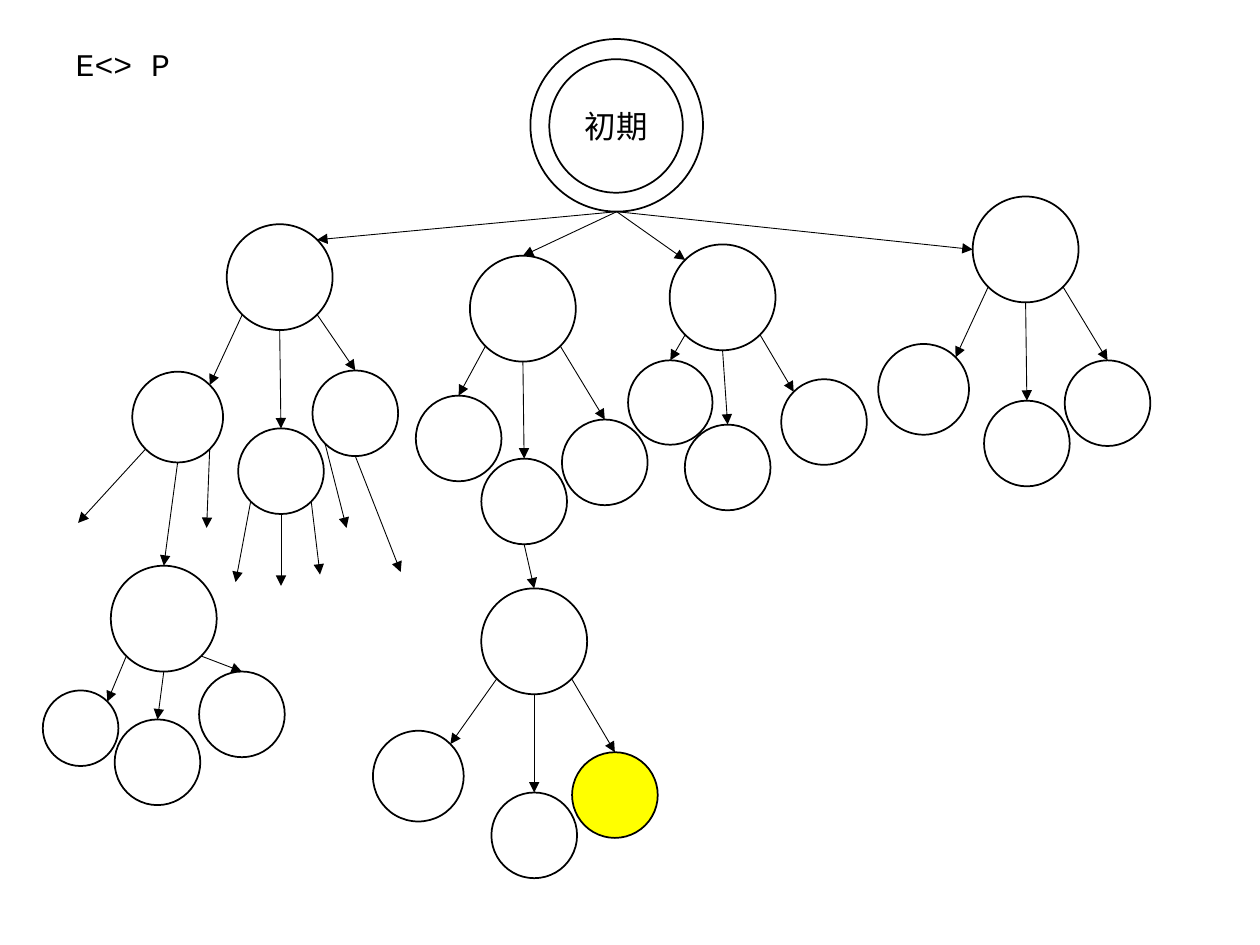
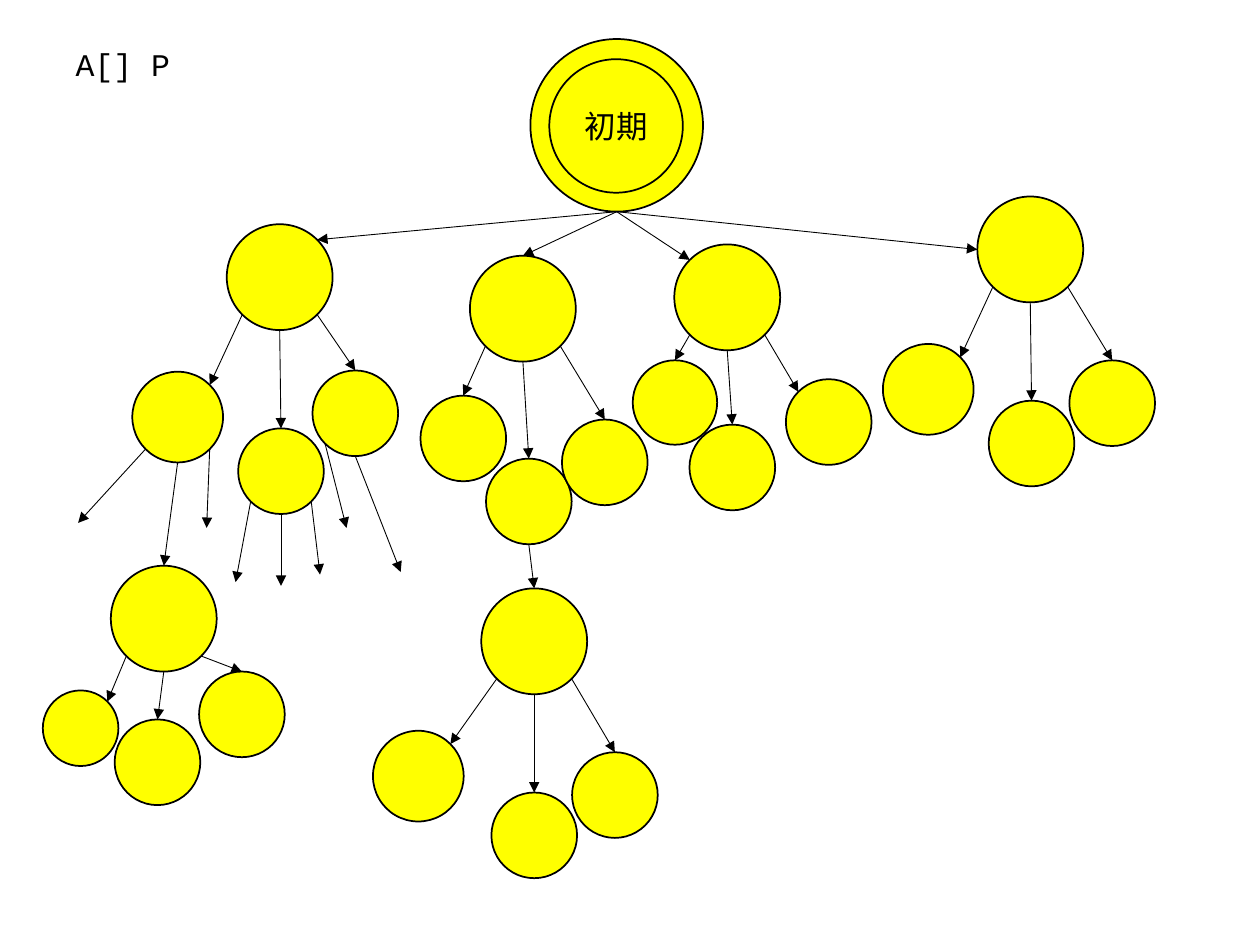
from dataclasses import dataclass
from enum import Enum
from math import sqrt

from lxml.etree import SubElement
from pptx import Presentation
from pptx.dml.color import RGBColor
from pptx.enum.shapes import MSO_CONNECTOR, MSO_SHAPE
from pptx.enum.text import MSO_ANCHOR, MSO_AUTO_SIZE, PP_ALIGN
from pptx.oxml.ns import qn
from pptx.util import Inches, Pt

# Shared look
INK, PLAIN, HIT = "000000", "FFFFFF", "FFFF00"
CODE_FONT, LABEL_FONT = "Courier New", "Noto Sans CJK JP"
TEXT_SIZE = 18

# Square grid: 100 columns by 75 rows
COLUMNS, ROWS = 100, 75
CELL = Inches(10) / COLUMNS
LARGE, MEDIUM, SMALL = 8.4, 7.2, 6.8
DRIFT = 0.37  # columns that some states move to the right
DIAGONAL = sqrt(0.5)

Point = tuple[float, float]


class Side(Enum):
    """Directions from a circle's centre to its rim."""
    TOP = (0, -1)
    TOP_LEFT = (-DIAGONAL, -DIAGONAL)
    TOP_RIGHT = (DIAGONAL, -DIAGONAL)
    LEFT = (-1, 0)
    BOTTOM = (0, 1)
    BOTTOM_LEFT = (-DIAGONAL, DIAGONAL)
    BOTTOM_RIGHT = (DIAGONAL, DIAGONAL)


FAN = (Side.BOTTOM_LEFT, Side.BOTTOM, Side.BOTTOM_RIGHT)


@dataclass(frozen=True)
class State:
    left: float
    top: float
    size: float = SMALL
    arrive: Side = Side.TOP  # where the arrow from the parent ends
    drifts: bool = False
    goal: bool = False
    children: tuple["State", ...] = ()
    rays: tuple[tuple[Side, Point], ...] = ()  # arrows to unseen states

    def exits(self) -> tuple[Side, ...]:
        """Three children fan out; otherwise all leave from the bottom."""
        count = len(self.children)
        return FAN if count == len(FAN) else (Side.BOTTOM,) * count


@dataclass(frozen=True)
class Query:
    formula: str
    all_hit: bool
    drift: float


# The tree of states, in grid columns and rows
TREE = State(42.1, 3.1, 13.7, children=(
    State(18, 17.8, LARGE, Side.TOP_RIGHT, children=(
        State(10.5, 29.5, MEDIUM, Side.TOP_RIGHT,
              children=(State(8.8, 44.9, LARGE, children=(
                  State(3.4, 54.8, 6, Side.TOP_RIGHT),
                  State(9.1, 57.1),
                  State(15.8, 53.3))),),
              rays=((Side.BOTTOM_LEFT, (6.2, 41.5)),
                    (Side.BOTTOM_RIGHT, (16.4, 41.9)))),
        State(18.9, 34, rays=tuple(zip(FAN, ((18.7, 46.2), (22.3, 46.5),
                                             (25.4, 45.6))))),
        State(24.8, 29.4, rays=((Side.BOTTOM_LEFT, (27.5, 41.9)),
                                (Side.BOTTOM, (31.8, 45.4)))))),
    State(37.3, 20.3, LARGE, children=(
        State(33, 31.4, drifts=True),
        State(38.2, 36.4, drifts=True, children=(
            State(38.2, 46.7, LARGE, children=(
                State(29.6, 58, MEDIUM, Side.TOP_RIGHT),
                State(39, 62.9),
                State(45.4, 59.7, goal=True))),)),
        State(44.6, 33.3))),
    State(53.15, 19.4, LARGE, Side.TOP_LEFT, drifts=True, children=(
        State(49.85, 28.6, 6.7, drifts=True),
        State(54.35, 33.7, drifts=True),
        State(62, 30.1, arrive=Side.TOP_LEFT, drifts=True))),
    State(77.2, 15.6, LARGE, Side.LEFT, drifts=True, children=(
        State(69.7, 27.3, MEDIUM, Side.TOP_RIGHT, drifts=True),
        State(78.1, 31.8, drifts=True),
        State(84.5, 28.6, drifts=True))),
))
START_RING = State(43.6, 4.7, 10.6)

QUERIES = (Query("E<> P", False, 0), Query("A[] P", True, DRIFT))


def colour(value: str) -> RGBColor:
    return RGBColor.from_string(value)


def cells(count: float) -> int:
    return round(count * CELL)


def format_text(frame, text: str, font: str, align: PP_ALIGN, anchor: MSO_ANCHOR) -> None:
    frame.text = text
    frame.word_wrap = True
    frame.auto_size = MSO_AUTO_SIZE.NONE
    frame.vertical_anchor = anchor
    para = frame.paragraphs[0]
    para.alignment = align
    span = para.runs[0]
    span.font.size = Pt(TEXT_SIZE)
    span.font.name = font
    span.font.color.rgb = colour(INK)
    # East Asian characters take their own font entry
    SubElement(span.font._element, qn("a:ea")).set("typeface", font)


def add_circle(page, state: State, query: Query):
    left = state.left + query.drift * state.drifts
    circle = page.shapes.add_shape(MSO_SHAPE.OVAL, cells(left), cells(state.top),
                                   cells(state.size), cells(state.size))
    circle.shadow.inherit = False
    circle.fill.solid()
    circle.fill.fore_color.rgb = colour(HIT if query.all_hit or state.goal else PLAIN)
    circle.line.color.rgb = colour(INK)
    circle.line.width = Pt(1)
    return circle


def rim(state: State, side: Side, query: Query) -> Point:
    radius = state.size / 2
    across, down = side.value
    return (state.left + query.drift * state.drifts + radius * (1 + across),
            state.top + radius * (1 + down))


def add_arrow(page, start: Point, end: Point) -> None:
    arrow = page.shapes.add_connector(MSO_CONNECTOR.STRAIGHT,
                                      *(cells(value) for value in start + end))
    arrow.line.color.rgb = colour(INK)
    arrow.line.width = Pt(0.5)
    SubElement(arrow.line._get_or_add_ln(), qn("a:tailEnd")).set("type", "triangle")
    SubElement(arrow._element.spPr, qn("a:effectLst"))


def draw_tree(page, state: State, query: Query) -> None:
    add_circle(page, state, query)
    for side, end in state.rays:
        add_arrow(page, rim(state, side, query), end)
    for side, child in zip(state.exits(), state.children):
        add_arrow(page, rim(state, side, query), rim(child, child.arrive, query))
        draw_tree(page, child, query)


def add_query_page(deck, query: Query) -> None:
    page = deck.slides.add_slide(deck.slide_layouts[5])
    # Formula as the title
    title = page.shapes.title
    title.left, title.top = cells(5), cells(3.1)
    title.width, title.height = cells(25), cells(4)
    format_text(title.text_frame, query.formula, CODE_FONT, PP_ALIGN.LEFT, MSO_ANCHOR.TOP)
    # States, then the inner ring of the start state
    draw_tree(page, TREE, query)
    ring = add_circle(page, START_RING, query)
    format_text(ring.text_frame, "初期", LABEL_FONT, PP_ALIGN.CENTER, MSO_ANCHOR.MIDDLE)
    ring.text_frame.word_wrap = False


deck = Presentation()
deck.slide_width, deck.slide_height = cells(COLUMNS), cells(ROWS)
for query in QUERIES:
    add_query_page(deck, query)
deck.save("out.pptx")
